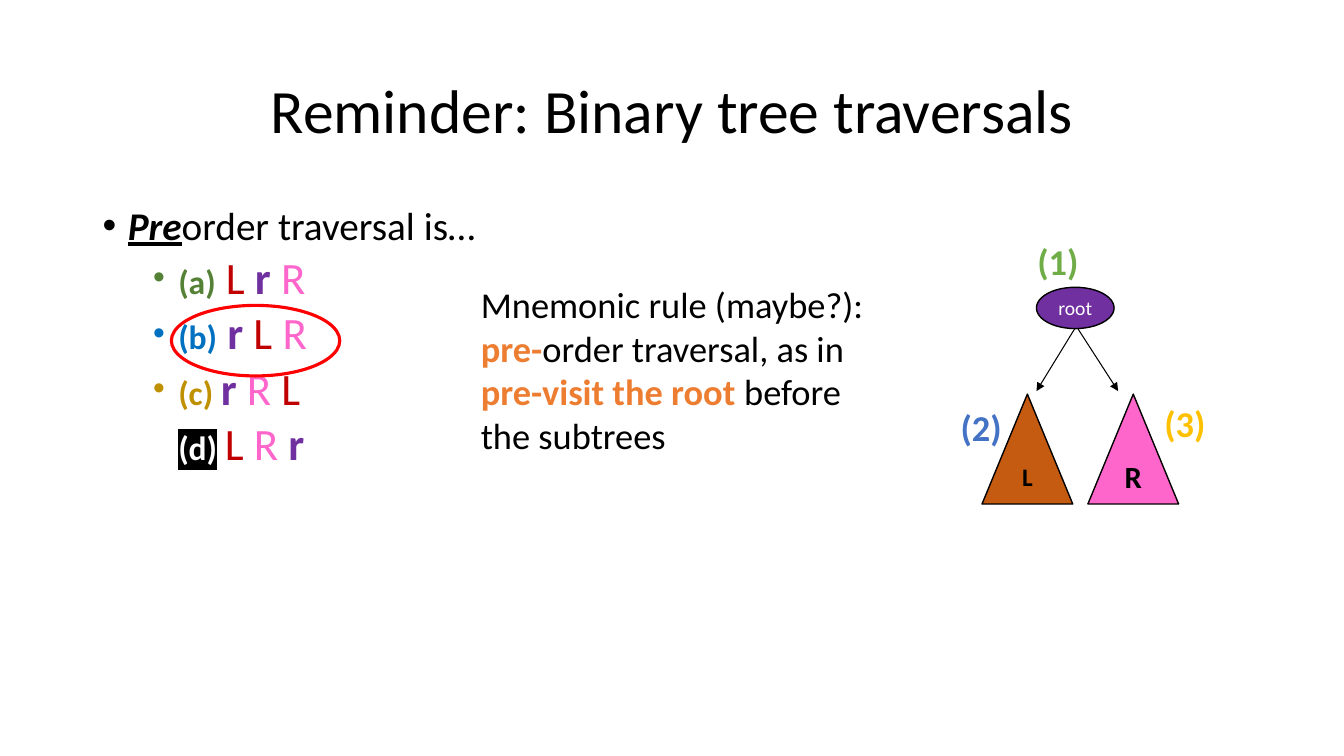
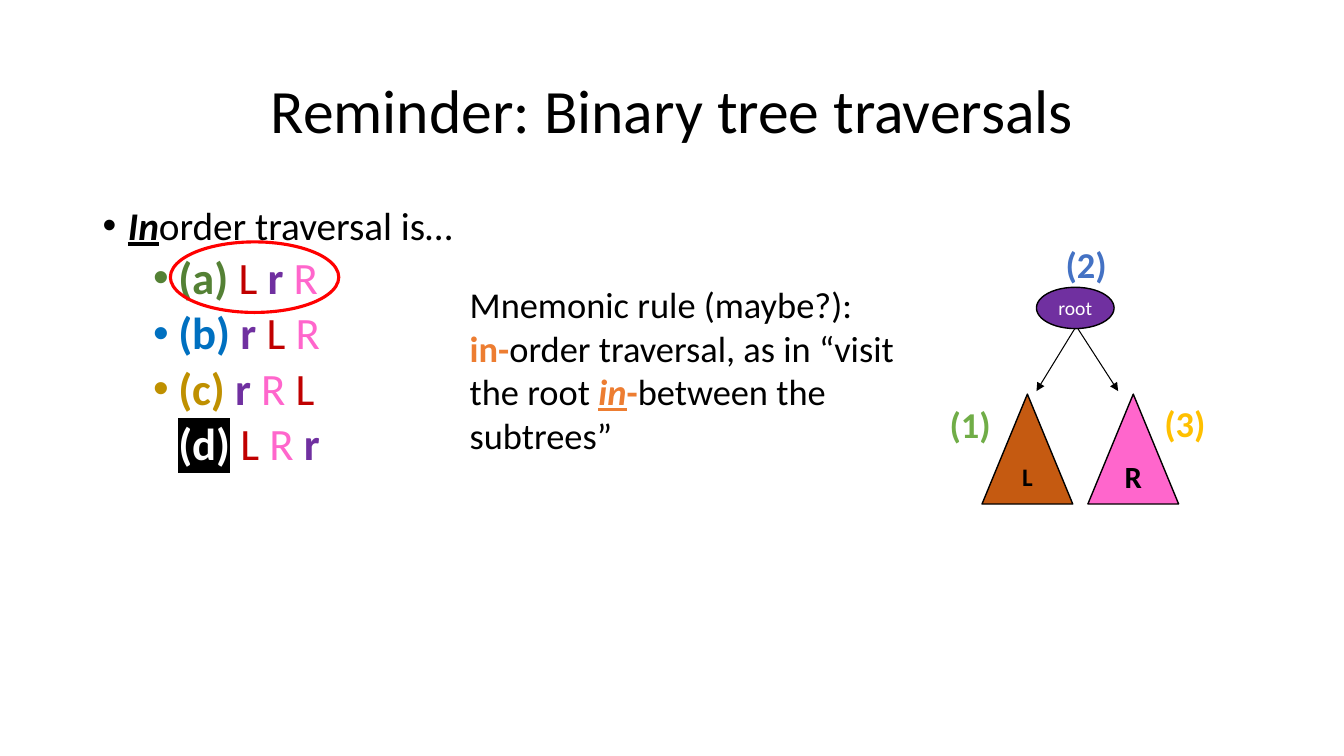
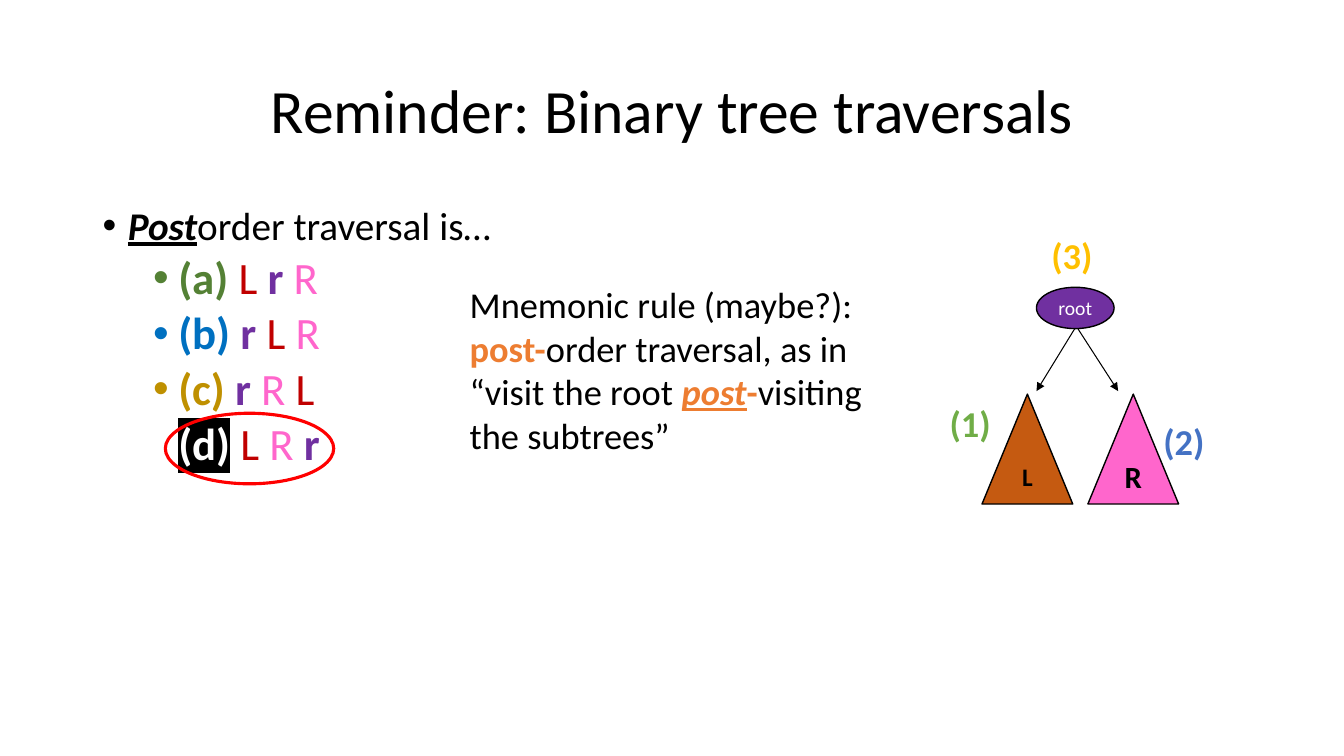
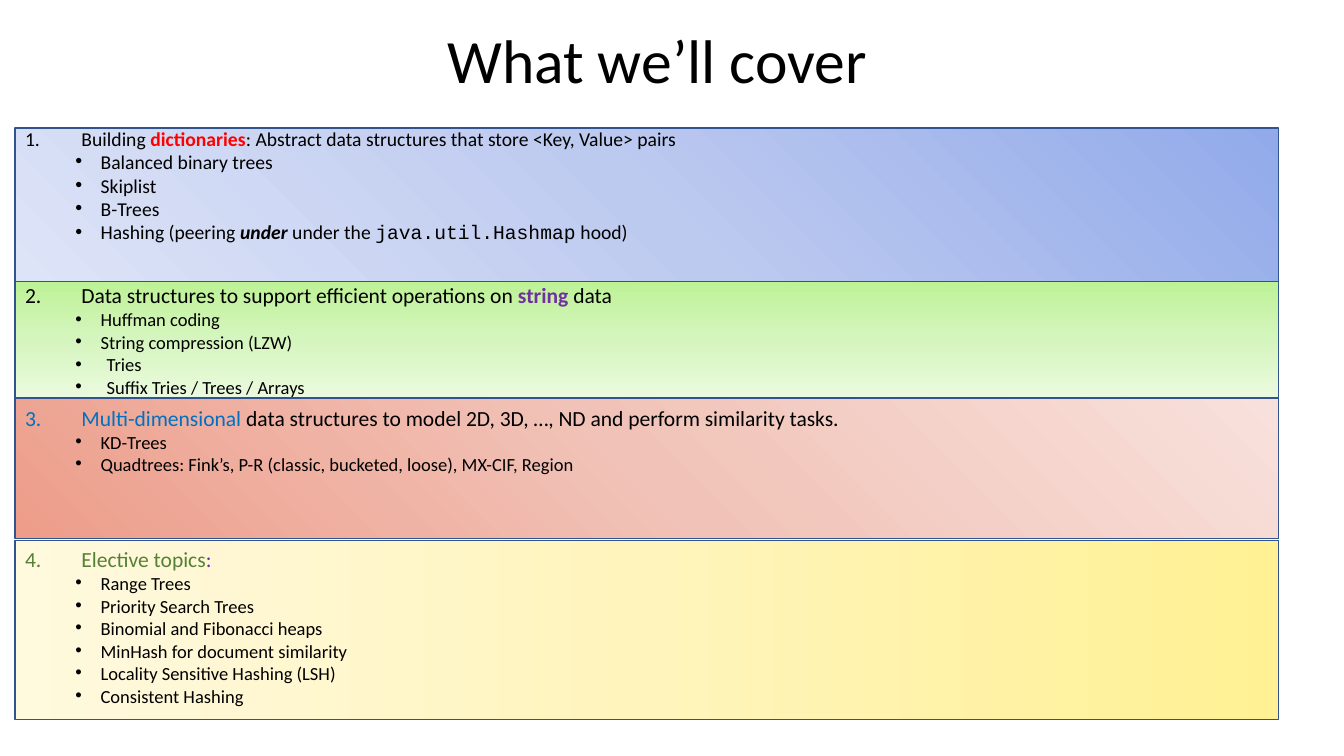
from pptx import Presentation
from pptx.dml.color import RGBColor
from pptx.enum.shapes import MSO_CONNECTOR, MSO_SHAPE
from pptx.enum.text import MSO_ANCHOR, MSO_AUTO_SIZE, PP_ALIGN
from pptx.oxml import parse_xml
from pptx.oxml.ns import nsdecls, qn
from pptx.util import Inches, Pt

FONT = "Calibri"
BLACK, WHITE, RED = "000000", "FFFFFF", "FF0000"
PURPLE, PINK, ORANGE = "7030A0", "FF66CC", "ED7D31"
GREEN, BLUE, BROWN = "548135", "0070C0", "C55A11"
BAND_LINE = "31538F"

TRAVERSAL_TITLE = "Reminder: Binary tree traversals"
TRAVERSAL_TITLE_BOX = (0.92, 0.4, 11.5, 1.45)
COVER_TITLE_BOX = (1.01, 0, 11.02, 1.27)

NODE_COLORS = {"L": "C00000", "r": PURPLE, "R": PINK}
OPTIONS = [  # label, colour, visiting order
    ("(a)", GREEN, "LrR"),
    ("(b)", BLUE, "rLR"),
    ("(c)", "BF9000", "rRL"),
    ("(d)", WHITE, "LRr"),
]
STEP_COLORS = ["70AD47", "4472C4", "FFC000"]

# A run is (text, colour, style letters); colour and style may be left out.
TRAVERSALS = [
    {
        "prefix": "Pre",
        "label_size": 24,
        "gap_sizes": (32, 32, 24, 24),
        "answer_at": (1.7, 3.03),
        "steps_at": [(10.19, 2.32), (9.43, 3.97), (11.45, 3.93)],
        "rule_box": (4.67, 2.75, 4.32, 1.85),
        "rule": [("pre-", ORANGE, "b"), ("order traversal, as in ",),
                 ("pre-visit the root ", ORANGE, "b"), ("before the subtrees",)],
    },
    {
        "prefix": "In",
        "label_size": 32,
        "gap_sizes": (32,) * 4,
        "answer_at": (1.69, 2.4),
        "steps_at": [(9.32, 3.94), (10.47, 2.35), (11.45, 3.93)],
        "rule_box": (4.56, 2.75, 4.43, 1.85),
        "rule": [("in-", ORANGE, "b"), ("order traversal, as in “visit the root ",),
                 ("in", ORANGE, "biu"), ("-", ORANGE, "b"),
                 ("between the subtrees”",)],
    },
    {
        "prefix": "Post",
        "label_size": 32,
        "gap_sizes": (32,) * 4,
        "answer_at": (1.64, 4.1),
        "steps_at": [(9.32, 3.93), (11.44, 4.11), (10.33, 2.26)],
        "rule_box": (4.56, 2.75, 4.43, 1.85),
        "rule": [("post-", ORANGE, "b"), ("order traversal, as in “visit the root ",),
                 ("post", ORANGE, "biu"), ("-", ORANGE, "b"),
                 ("visiting the subtrees”",)],
    },
]

TREE_NODES = [  # shape, box, fill, text, size, text colour, bold
    (MSO_SHAPE.OVAL, (10.28, 2.85, 0.77, 0.41), PURPLE, "root", 14, WHITE, ""),
    (MSO_SHAPE.ISOSCELES_TRIANGLE, (9.74, 3.91, 0.9, 1.09), BROWN, "L", 18, BLACK, "b"),
    (MSO_SHAPE.ISOSCELES_TRIANGLE, (10.79, 3.91, 0.9, 1.09), PINK, "R", 22, BLACK, "b"),
]
TREE_ARROWS = [(10.66, 3.26, 10.28, 3.88), (10.69, 3.26, 11.09, 3.88)]

BAND_LEFT, BAND_WIDTH = 0.15, 12.53
SECTIONS = [
    {
        "top": 1.27, "height": 1.52, "angle": 135,
        "gradient": ("92AAEA", "BDCAF0", "DEE4F7"),
        "sizes": (14, 14), "space_before": 0, "number_color": BLACK,
        "heading": [("Building ",), ("dictionaries", RED, "b"),
                    (": Abstract data structures that store <Key, Value> pairs",)],
        "items": ["Balanced binary trees", "Skiplist", "B-Trees",
                  [("Hashing (peering ",), ("under ", BLACK, "bi"), ("under the ",),
                   ("java.util.Hashmap", BLACK, "m"), (" hood)",)]],
    },
    {
        "top": 2.78, "height": 1.17, "angle": 90,
        "gradient": ("BDF295", "D5F5BE", "EAFADE"),
        "sizes": (15.4, 13.2), "space_before": 33, "number_color": BLACK,
        "heading": [("Data structures to support efficient operations on ",),
                    ("string", PURPLE, "b"), (" data",)],
        "items": ["Huffman coding", "String compression (LZW)", "Tries",
                  "Suffix Tries / Trees / Arrays"],
        "wide_from": 2,
    },
    {
        "top": 3.95, "height": 1.39, "angle": 315,
        "gradient": ("ED9D8A", "F1C3B8", "F8E1DC"),
        "sizes": (15.4, 13.2), "space_before": 10, "number_color": BLUE,
        "heading": [("Multi-dimensional", BLUE),
                    (" data structures to model 2D, 3D, …, ND and perform similarity tasks.",)],
        "items": ["KD-Trees",
                  "Quadtrees: Fink’s, P-R (classic, bucketed, loose), MX-CIF, Region"],
    },
    {
        "top": 5.36, "height": 1.78, "angle": 180,
        "gradient": ("FFF194", "FFF4BC", "FFF9DE"),
        "sizes": (15.4, 13.2), "space_before": 56, "number_color": GREEN,
        "heading": [("Elective topics", GREEN), (":", PURPLE)],
        "items": ["Range Trees", "Priority Search Trees", "Binomial and Fibonacci heaps",
                  "MinHash for document similarity", "Locality Sensitive Hashing (LSH)",
                  "Consistent Hashing"],
    },
]


def rgb(color):
    return RGBColor.from_string(color)


def inches(values):
    return [Inches(value) for value in values]


def add_run(paragraph, size, text, color=BLACK, style="", highlight=None):
    """Style letters: b bold, i italic, u underline, m monospaced."""
    run = paragraph.add_run()
    run.text = text
    font = run.font
    font.name = "Courier New" if "m" in style else FONT
    font.size = Pt(size)
    font.bold, font.italic, font.underline = (letter in style for letter in "biu")
    font.color.rgb = rgb(color)
    if highlight:
        font._element.find(qn("a:solidFill")).addnext(parse_xml(
            f'<a:highlight {nsdecls("a")}><a:srgbClr val="{highlight}"/></a:highlight>'))


def add_runs(paragraph, size, runs):
    for run in runs:
        add_run(paragraph, size, *run)


def add_text_box(slide, box):
    text_frame = slide.shapes.add_textbox(*inches(box)).text_frame
    text_frame.word_wrap = True
    return text_frame


def add_list_paragraph(text_frame, level, spacing, before, margin, hanging,
                       color=BLACK, number=None):
    """A bulleted or numbered paragraph; without a hanging indent it has no mark."""
    first = text_frame.paragraphs[0]
    paragraph = text_frame.add_paragraph() if first.runs else first
    paragraph.level = level
    paragraph.line_spacing = spacing
    paragraph.space_before = Pt(before)
    properties = paragraph._p.get_or_add_pPr()
    properties.set("marL", str(Inches(margin)))
    properties.set("indent", str(-Inches(hanging)))
    if not hanging:
        marks = ["<a:buNone {}/>"]
    else:
        marks = [f'<a:buClr {{}}><a:srgbClr val="{color}"/></a:buClr>']
        if number:
            marks.append(f'<a:buAutoNum {{}} type="arabicPeriod" startAt="{number}"/>')
        else:
            marks += ['<a:buFont {} typeface="Arial"/>', '<a:buChar {} char="•"/>']
    for mark in marks:
        properties.append(parse_xml(mark.format(nsdecls("a"))))
    return paragraph


def add_outlined_shape(slide, kind, box, line_color, line_width, fill=None):
    shape = slide.shapes.add_shape(kind, *inches(box))
    shape.shadow.inherit = False
    shape.line.color.rgb = rgb(line_color)
    shape.line.width = Pt(line_width)
    if fill:
        shape.fill.solid()
        shape.fill.fore_color.rgb = rgb(fill)
    else:
        shape.fill.background()
    return shape


def add_titled_slide(presentation, text, box):
    slide = presentation.slides.add_slide(presentation.slide_layouts[5])
    title = slide.shapes.title
    title.left, title.top, title.width, title.height = inches(box)
    text_frame = title.text_frame
    text_frame.auto_size = MSO_AUTO_SIZE.NONE
    text_frame.vertical_anchor = MSO_ANCHOR.MIDDLE
    paragraph = text_frame.paragraphs[0]
    paragraph.alignment = PP_ALIGN.CENTER
    paragraph.line_spacing = 0.9
    add_run(paragraph, 44, text)
    return slide


def add_arrow(slide, ends):
    arrow = slide.shapes.add_connector(MSO_CONNECTOR.STRAIGHT, *inches(ends))
    arrow.line.color.rgb = rgb(BLACK)
    arrow.line.width = Pt(0.75)
    arrow.line._get_or_add_ln().append(
        parse_xml(f'<a:tailEnd {nsdecls("a")} type="triangle"/>'))
    arrow._element.spPr.append(parse_xml(f'<a:effectLst {nsdecls("a")}/>'))


def add_tree(slide):
    for kind, box, fill, text, size, color, style in TREE_NODES:
        node = add_outlined_shape(slide, kind, box, BLACK, 1, fill)
        node.text_frame.vertical_anchor = MSO_ANCHOR.MIDDLE
        paragraph = node.text_frame.paragraphs[0]
        paragraph.alignment = PP_ALIGN.CENTER
        add_run(paragraph, size, text, color, style)
    for ends in TREE_ARROWS:
        add_arrow(slide, ends)


def add_options(slide, traversal):
    body = add_text_box(slide, (0.92, 2, 11.5, 4.76))
    question = add_list_paragraph(body, 0, 0.9, 0, 0.25, 0.25)
    add_runs(question, 28, [(traversal["prefix"], BLACK, "biu"), ("order traversal is…",)])
    for (label, color, order), gap_size in zip(OPTIONS, traversal["gap_sizes"]):
        inverted = color == WHITE
        option = add_list_paragraph(body, 1, 0.9, 5, 0.75, 0 if inverted else 0.25, color)
        add_run(option, traversal["label_size"], label, color, "b",
                BLACK if inverted else None)
        add_run(option, gap_size, " ")
        for node in order:
            text = node if node == order[-1] else node + " "
            add_run(option, 32, text, NODE_COLORS[node], "b" if node == "r" else "")


def add_traversal_slide(presentation, traversal):
    slide = add_titled_slide(presentation, TRAVERSAL_TITLE, TRAVERSAL_TITLE_BOX)
    add_options(slide, traversal)
    add_tree(slide)
    add_outlined_shape(slide, MSO_SHAPE.OVAL, (*traversal["answer_at"], 1.67, 0.7), RED, 2.25)
    for number, (place, color) in enumerate(zip(traversal["steps_at"], STEP_COLORS), 1):
        step = add_text_box(slide, (*place, 0.7, 0.54))
        add_run(step.paragraphs[0], 26, f"({number})", color, "b")
    rule = add_text_box(slide, traversal["rule_box"])
    add_runs(rule.paragraphs[0], 26, [("Mnemonic rule (maybe?): ",)] + traversal["rule"])


def add_band(slide, section):
    box = (BAND_LEFT, section["top"], BAND_WIDTH, section["height"])
    band = add_outlined_shape(slide, MSO_SHAPE.RECTANGLE, box, BAND_LINE, 1)
    stops = "".join(
        f'<a:gs pos="{index * 50000}"><a:srgbClr val="{color}"/></a:gs>'
        for index, color in enumerate(section["gradient"]))
    properties = band._element.spPr
    properties.replace(properties.find(qn("a:noFill")), parse_xml(
        f'<a:gradFill {nsdecls("a")} rotWithShape="1"><a:gsLst>{stops}</a:gsLst>'
        f'<a:lin ang="{section["angle"] * 60000}" scaled="0"/></a:gradFill>'))


def add_cover_slide(presentation):
    slide = add_titled_slide(presentation, "What we’ll cover", COVER_TITLE_BOX)
    for section in reversed(SECTIONS):
        add_band(slide, section)
    body = add_text_box(slide, (BAND_LEFT, 1.27, BAND_WIDTH, 5.8))
    for number, section in enumerate(SECTIONS, 1):
        heading_size, item_size = section["sizes"]
        heading = add_list_paragraph(body, 0, 0.7, section["space_before"], 0.56, 0.56,
                                     section["number_color"], number)
        add_runs(heading, heading_size, section["heading"])
        wide_from = section.get("wide_from", len(section["items"]))
        for index, item in enumerate(section["items"]):
            hanging = 0.25 if index < wide_from else 0.31
            paragraph = add_list_paragraph(body, 1, 0.7, 5, 0.5 + hanging, hanging)
            add_runs(paragraph, item_size, [(item,)] if isinstance(item, str) else item)


def main():
    presentation = Presentation()
    presentation.slide_width, presentation.slide_height = inches((13.33, 7.5))
    for traversal in TRAVERSALS:
        add_traversal_slide(presentation, traversal)
    add_cover_slide(presentation)
    presentation.save("out.pptx")


if __name__ == "__main__":
    main()
